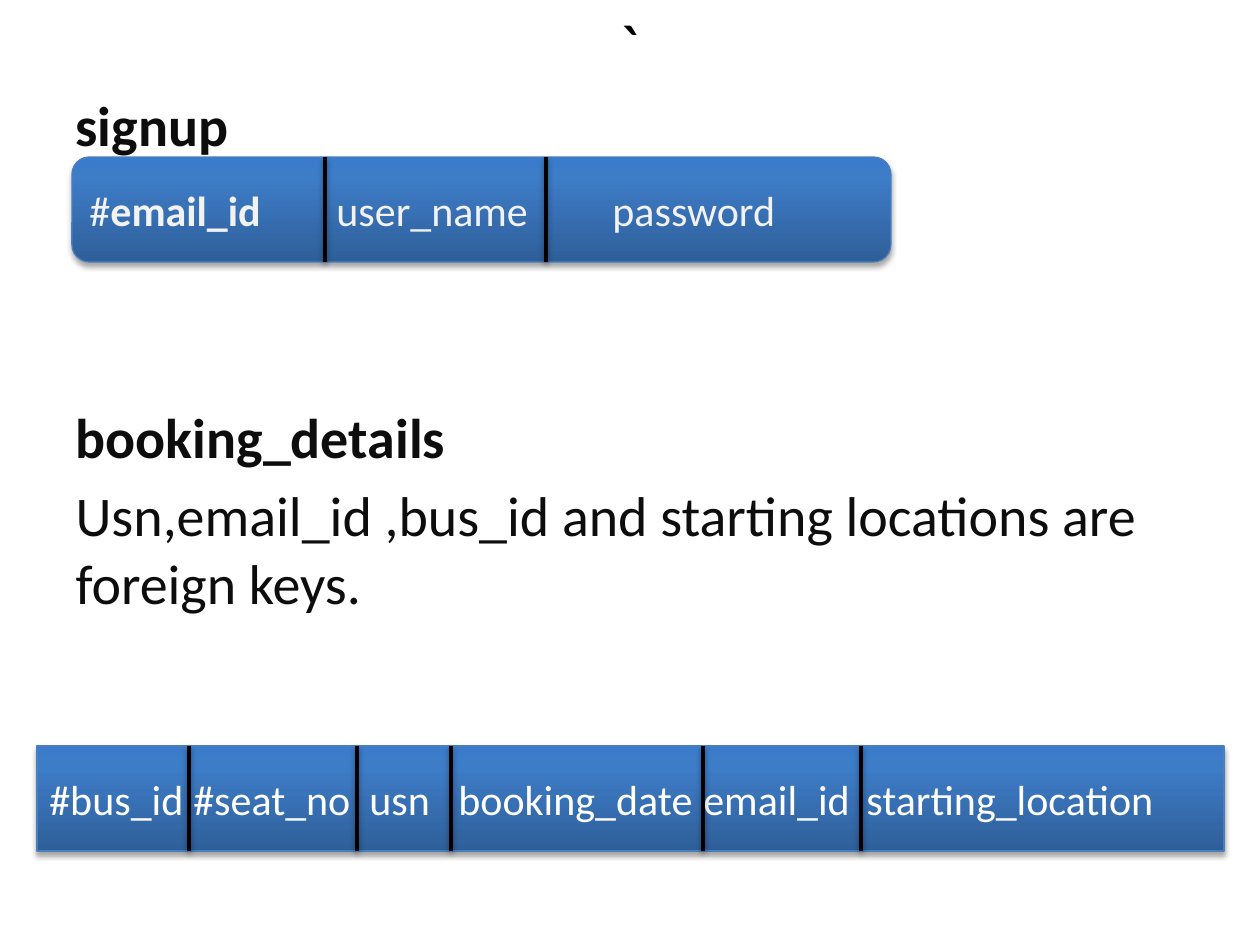
import copy

import lxml.etree
import pptx
import pptx.dml.color
import pptx.enum.shapes
import pptx.enum.text
import pptx.oxml.ns
import pptx.util

RGBColor = pptx.dml.color.RGBColor
BLACK = RGBColor(0x00, 0x00, 0x00)
WHITE = RGBColor(0xFF, 0xFF, 0xFF)
NEAR_BLACK = RGBColor(0x0D, 0x0D, 0x0D)
LIGHT_GRAY = RGBColor(0xF2, 0xF2, 0xF2)
OUTLINE_BLUE = RGBColor(0x4B, 0x7E, 0xBC)
BAR_GRADIENT = [
    (0, RGBColor(0x2F, 0x5F, 0x99)),
    (0.8, RGBColor(0x3D, 0x7C, 0xC7)),
    (1, RGBColor(0x3A, 0x7C, 0xCB)),
]
Shapes = pptx.enum.shapes.MSO_SHAPE
qn = pptx.oxml.ns.qn


def px(length):
    """Turn pixels, 126 to the inch, into EMU."""
    return pptx.util.Emu(round(length * 914400 / 126))


def add_child(parent, tag, **attributes):
    child = lxml.etree.SubElement(parent, qn(tag))
    for name, value in attributes.items():
        child.set(name, str(value))
    return child


def add_text(paragraph, text, *, size, color, bold=False, font="Calibri"):
    run = paragraph.add_run()
    run.text = text
    run.font.name = font
    run.font.size = pptx.util.Pt(size)
    run.font.bold = bold
    run.font.color.rgb = color


def add_shadow(shape, distance, opacity):
    """Cast a soft black shadow downwards; distance in points, opacity in percent."""
    properties = shape._element.spPr
    effects = properties.find(qn("a:effectLst"))
    if effects is None:
        effects = add_child(properties, "a:effectLst")
    shadow = add_child(effects, "a:outerShdw", blurRad=pptx.util.Pt(3.1),
                       dist=pptx.util.Pt(distance), dir=5400000, rotWithShape=0)
    color = add_child(shadow, "a:srgbClr", val=BLACK)
    add_child(color, "a:alpha", val=opacity * 1000)


class SchemaSlide:
    heading_size = 32
    field_size = 24
    bar_height = 105

    def __init__(self, presentation):
        self.slide = presentation.slides.add_slide(presentation.slide_layouts[1])

    def place(self, placeholder, left, top, width, height):
        placeholder.left, placeholder.top = px(left), px(top)
        placeholder.width, placeholder.height = px(width), px(height)
        placeholder.text_frame.auto_size = pptx.enum.text.MSO_AUTO_SIZE.NONE
        return placeholder.text_frame

    def title(self, text, *box):
        frame = self.place(self.slide.shapes.title, *box)
        add_text(frame.paragraphs[0], text, size=39.6, color=BLACK)

    def body(self, entries, *box):
        """Fill the body with (text, bold, space before in points or None)."""
        frame = self.place(self.slide.placeholders[1], *box)
        for index, (text, bold, space_before) in enumerate(entries):
            paragraph = frame.add_paragraph() if index else frame.paragraphs[0]
            properties = paragraph._p.get_or_add_pPr()
            properties.set("marL", "0")
            properties.set("indent", "0")
            if space_before is not None:
                paragraph.space_before = pptx.util.Pt(space_before)
            add_child(properties, "a:buNone")
            add_text(paragraph, text, size=self.heading_size,
                     color=NEAR_BLACK, bold=bold)

    def bar(self, kind, left, top, width):
        shape = self.slide.shapes.add_shape(
            kind, px(left), px(top), px(width), px(self.bar_height))
        shape.fill.gradient()
        shape.fill.gradient_angle = 90
        stop_list = shape._element.spPr.find(".//" + qn("a:gsLst"))
        stop_list.append(copy.deepcopy(stop_list[-1]))
        for stop, (position, color) in zip(shape.fill.gradient_stops, BAR_GRADIENT):
            stop.position = position
            stop.color.rgb = color
        shape.line.color.rgb = OUTLINE_BLUE
        shape.line.width = pptx.util.Pt(0.75)
        shape.shadow.inherit = False
        add_shadow(shape, distance=1.8, opacity=35)
        shape.text_frame.vertical_anchor = pptx.enum.text.MSO_ANCHOR.MIDDLE
        return shape

    def fields(self, shape, names, text_left, color):
        """Write (name parts, left) on one line, with a tab stop at each left.

        Each part is (text, bold); text_left is where the bar's text begins.
        """
        paragraph = shape.text_frame.paragraphs[0]
        paragraph.alignment = pptx.enum.text.PP_ALIGN.LEFT
        tabs = add_child(paragraph._p.get_or_add_pPr(), "a:tabLst")
        for index, (parts, left) in enumerate(names):
            if index:
                add_child(tabs, "a:tab", pos=px(left - text_left), algn="l")
            for part, (text, bold) in enumerate(parts):
                tab = "\t" if index and not part else ""
                add_text(paragraph, tab + text, size=self.field_size,
                         color=color, bold=bold)

    def divider(self, left, top):
        line = self.slide.shapes.add_connector(
            pptx.enum.shapes.MSO_CONNECTOR.STRAIGHT,
            px(left), px(top), px(left), px(top + self.bar_height))
        line.line.color.rgb = BLACK
        line.line.width = pptx.util.Pt(2)
        add_shadow(line, distance=1.6, opacity=38)

    def relation(self, kind, box, names, dividers, color):
        """Draw a table schema: a bar, its field names and the lines between them."""
        shape = self.bar(kind, *box)
        self.fields(shape, names, names[0][1], color)
        for left in dividers:
            self.divider(left, box[1])


def main():
    presentation = pptx.Presentation()
    presentation.slide_width = px(1260)
    presentation.slide_height = px(945)

    schema = SchemaSlide(presentation)
    schema.title("`", 63, 38, 1134, 15)
    schema.body([
        ("signup", True, None),
        ("booking_details", True, 140),
        ("Usn,email_id ,bus_id and starting locations are foreign keys.", False, None),
    ], 63, 84, 1134, 861)

    signup_fields = [
        ([("#", False), ("email_id", True)], 90),
        ([("user_name", False)], 337),
        ([("password", False)], 613),
    ]
    schema.relation(Shapes.ROUNDED_RECTANGLE, (72, 157, 819), signup_fields,
                    [325, 546], LIGHT_GRAY)

    booking_columns = [("#bus_id", 49), ("#seat_no", 193), ("usn", 369),
                       ("booking_date", 458), ("email_id", 703),
                       ("starting_location", 866)]
    booking_fields = [([(name, False)], left) for name, left in booking_columns]
    schema.relation(Shapes.RECTANGLE, (37, 746, 1187), booking_fields,
                    [189, 357, 451, 703, 861], WHITE)

    presentation.save("out.pptx")


if __name__ == "__main__":
    main()
